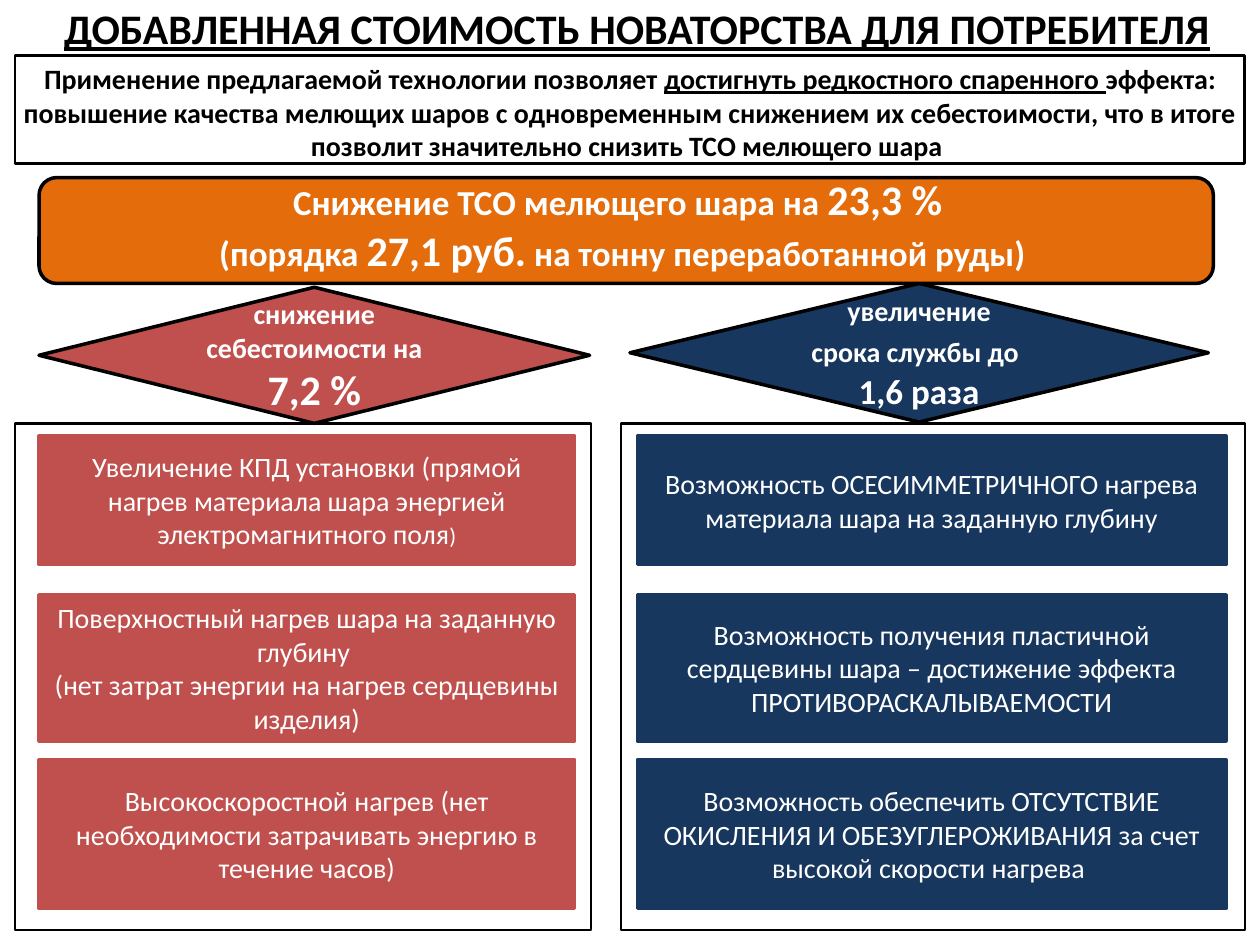
import pptx
import pptx.util
from pptx.dml.color import RGBColor
from pptx.enum.shapes import MSO_SHAPE
from pptx.enum.text import MSO_ANCHOR, MSO_AUTO_SIZE, PP_ALIGN
from pptx.util import Inches

COLORS = {
    "black": "000000",
    "white": "FFFFFF",
    "cost": "C0504D",
    "service": "17375E",
    "banner": "E46C0A",
}


def add_box(kind, place, fill, line, width):
    box = slide.shapes.add_shape(kind, *map(Inches, place))
    box.shadow.inherit = False
    if fill:
        box.fill.solid()
        box.fill.fore_color.rgb = RGBColor.from_string(COLORS[fill])
    else:
        box.fill.background()
    box.line.color.rgb = RGBColor.from_string(COLORS[line])
    box.line.width = pptx.util.Pt(width)
    return box


def write(frame, paragraphs, size, color, bold, anchor):
    """Each paragraph is a list of (text, own size or None, underlined)."""
    frame.word_wrap = True
    frame.auto_size = MSO_AUTO_SIZE.NONE
    frame.vertical_anchor = anchor
    for index, runs in enumerate(paragraphs):
        paragraph = frame.add_paragraph() if index else frame.paragraphs[0]
        paragraph.alignment = PP_ALIGN.CENTER
        paragraph.font.name = "Calibri"
        paragraph.font.size = pptx.util.Pt(size)
        paragraph.font.bold = bold
        paragraph.font.color.rgb = RGBColor.from_string(COLORS[color])
        for text, own_size, underlined in runs:
            run = paragraph.add_run()
            run.text = text
            if own_size:
                run.font.size = pptx.util.Pt(own_size)
            if underlined:
                run.font.underline = True


deck = pptx.Presentation()
deck.slide_width, deck.slide_height = Inches(10), Inches(7.5)
slide = deck.slides.add_slide(deck.slide_layouts[5])

# Title
title = slide.shapes.title
title.left, title.top = Inches(0.31), Inches(-0.03)
title.width, title.height = Inches(9.49), Inches(0.5)
write(title.text_frame,
      [[("ДОБАВЛЕННАЯ СТОИМОСТЬ НОВАТОРСТВА ДЛЯ ПОТРЕБИТЕЛЯ", None, True)]],
      24, "black", True, MSO_ANCHOR.TOP)

# Frames around the introduction and the two columns
for place in [(4.93, 3.36, 4.95, 4.02), (0.12, 3.36, 4.57, 4.02), (0.12, 0.44, 9.76, 0.86)]:
    add_box(MSO_SHAPE.RECTANGLE, place, None, "black", 1.5)

# Introduction
intro = slide.shapes.add_textbox(Inches(0), Inches(0.44), Inches(10), Inches(0.91))
write(intro.text_frame, [[
    ("Применение предлагаемой технологии позволяет ", None, False),
    ("достигнуть редкостного спаренного ", None, True),
    ("эффекта: повышение качества мелющих шаров с одновременным снижением их "
     "себестоимости, что в итоге позволит значительно снизить ТСО мелющего шара ", None, False),
]], 16, "black", True, MSO_ANCHOR.TOP)

# Two columns of reasons, each under its diamond
rows = [(3.46, 1.02), (4.72, 1.16), (6.03, 1.18)]
columns = [
    ("service", 5.06, 4.67, (5, 2.25, 4.59, 1.1),
     [[("увеличение", None, False)],
      [("срока службы до", None, False), (" ", 20, False)],
      [("1,6 раза", 20, False)]],
     [[[("Возможность ОСЕСИММЕТРИЧНОГО нагрева материала шара на заданную глубину",
         None, False)]],
      [[("Возможность получения пластичной сердцевины шара – достижение эффекта "
         "ПРОТИВОРАСКАЛЫВАЕМОСТИ", None, False)]],
      [[("Возможность обеспечить ОТСУТСТВИЕ ОКИСЛЕНИЯ И ОБЕЗУГЛЕРОЖИВАНИЯ за счет "
         "высокой скорости нагрева ", None, False)]]]),
    ("cost", 0.31, 4.25, (0.31, 2.28, 4.37, 1.08),
     [[("снижение себестоимости на", None, False)],
      [("7,2 %", 24, False)]],
     [[[("Увеличение КПД установки (прямой нагрев материала шара энергией "
         "электромагнитного поля", None, False), (")", 13, False)]],
      [[("Поверхностный нагрев шара на заданную глубину ", None, False)],
       [("(нет затрат энергии на нагрев сердцевины изделия)", None, False)]],
      [[("Высокоскоростной нагрев (нет необходимости затрачивать энергию в течение часов)",
         None, False)]]]),
]
for color, left, width, diamond_place, effect, reasons in columns:
    for (top, height), reason in zip(rows, reasons):
        card = add_box(MSO_SHAPE.RECTANGLE, (left, top, width, height), color, color, 2)
        write(card.text_frame, reason, 16, "white", False, MSO_ANCHOR.MIDDLE)
    diamond = add_box(MSO_SHAPE.FLOWCHART_DECISION, diamond_place, color, "black", 2)
    write(diamond.text_frame, effect, 16, "white", True, MSO_ANCHOR.MIDDLE)

# Banner with the overall result
add_box(MSO_SHAPE.ROUNDED_RECTANGLE, (0.31, 1.41, 9.32, 0.84), "banner", "black", 2)
result = slide.shapes.add_textbox(Inches(0.28), Inches(1.33), Inches(9.32), Inches(0.91))
write(result.text_frame, [
    [("Снижение TCO мелющего шара на ", None, False), ("23,3 % ", 24, False)],
    [("(порядка ", None, False), ("27,1 руб.", 24, False),
     (" на тонну переработанной руды)", None, False)],
], 20, "white", True, MSO_ANCHOR.TOP)

deck.save("out.pptx")
